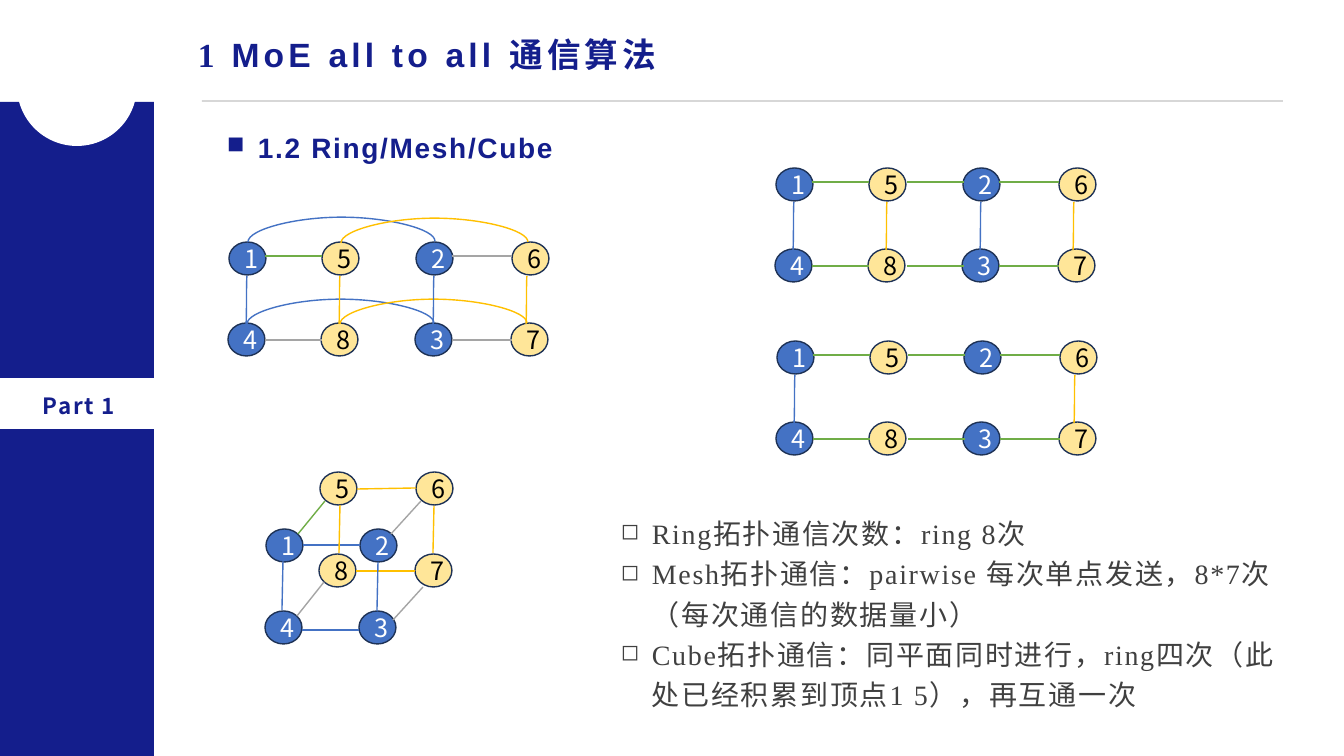
from dataclasses import dataclass

from lxml.etree import SubElement
from pptx import Presentation
from pptx.dml.color import RGBColor
from pptx.enum.shapes import MSO_CONNECTOR, MSO_SHAPE
from pptx.enum.text import MSO_ANCHOR, MSO_AUTO_SIZE, PP_ALIGN
from pptx.oxml.ns import qn
from pptx.util import Pt

PX = 914400 / 100.8


@dataclass(frozen=True)
class Theme:
    navy: str = "141E8C"
    white: str = "FFFFFF"
    black: str = "000000"
    rule: str = "0D0D0D"
    body: str = "404040"
    outline: str = "1E3256"
    blue: str = "4472C4"
    cream: str = "FFE699"
    gold: str = "FFC000"
    green: str = "70AD47"
    gray: str = "A5A5A5"
    sans: str = "Arial"
    serif: str = "Times New Roman"
    cjk: str = "Noto Sans CJK SC"
    title_size: int = 24
    text_size: int = 20
    node_size: int = 18
    part_size: int = 16


theme = Theme()
deck = Presentation()
deck.slide_width = round(1344 * PX)
deck.slide_height = round(756 * PX)
slide = deck.slides.add_slide(deck.slide_layouts[6])


def write(paragraph, text, font, size, color, bold=False, tracking=0,
          align=None, leading=None, bullet=None, level=0):
    if bullet:
        mark, percent, margin = bullet
        properties = paragraph._p.get_or_add_pPr()
        properties.set("marL", str(round(margin * PX)))
        properties.set("indent", str(round(-31 * PX)))
        SubElement(properties, qn("a:buSzPct")).set("val", str(percent * 1000))
        SubElement(properties, qn("a:buChar")).set("char", mark)
    paragraph.level = level
    if align is not None:
        paragraph.alignment = align
    if leading:
        paragraph.line_spacing = leading
    run = paragraph.add_run()
    run.text = text
    run.font.size = Pt(size)
    run.font.bold = bold
    run.font.color.rgb = RGBColor.from_string(color)
    run.font.name = font
    run_properties = run.font._element
    run_properties.set("spc", str(round(tracking * 100)))
    SubElement(run_properties, qn("a:ea")).set("typeface", theme.cjk)


def connect(x1, y1, x2, y2, color, kind=MSO_CONNECTOR.STRAIGHT, width=1):
    ends = [round(value * PX) for value in (x1, y1, x2, y2)]
    link = slide.shapes.add_connector(kind, *ends)
    link.line.color.rgb = RGBColor.from_string(color)
    link.line.width = Pt(width)
    SubElement(link._element.spPr, qn("a:effectLst"))
    return link


for preset, color, *box in [
    (MSO_SHAPE.RECTANGLE, theme.navy, 0, 102, 154, 654),
    (MSO_SHAPE.OVAL, theme.white, 17, 26, 120, 120),
    (MSO_SHAPE.RECTANGLE, theme.white, 0, 378, 154, 51),
]:
    panel = slide.shapes.add_shape(preset, *[round(value * PX) for value in box])
    panel.shadow.inherit = False
    panel.fill.solid()
    panel.fill.fore_color.rgb = RGBColor.from_string(color)
    panel.line.fill.background()

title_rule = connect(202, 101, 1283, 101, theme.rule, width=0.5)
rule_color = title_rule.line._ln.find(".//" + qn("a:srgbClr"))
SubElement(rule_color, qn("a:alpha")).set("val", "46000")

frames = []
for box in [(19, 385, 120, 38), (188, 29, 1182, 50), (217, 126, 386, 44), (510, 505, 793, 251)]:
    frame = slide.shapes.add_textbox(*[round(value * PX) for value in box]).text_frame
    frame.word_wrap = True
    frame.auto_size = MSO_AUTO_SIZE.SHAPE_TO_FIT_TEXT
    frames.append(frame)
part, title, heading, findings = frames

write(part.paragraphs[0], "Part 1", theme.cjk, theme.part_size, theme.navy,
      bold=True, tracking=1.1, align=PP_ALIGN.CENTER, leading=1.1)
for words, font in [("1 ", theme.serif), ("MoE all to all 通信算法", theme.sans)]:
    write(title.paragraphs[0], words, font, theme.title_size, theme.navy, bold=True, tracking=3)
write(heading.paragraphs[0], "1.2 Ring/Mesh/Cube", theme.sans, theme.text_size, theme.navy,
      bold=True, tracking=1.2, bullet=("■", 85, 31))
for index, finding in enumerate([
    "Ring拓扑通信次数：ring 8次",
    "Mesh拓扑通信：pairwise 每次单点发送，8*7次（每次通信的数据量小）",
    "Cube拓扑通信：同平面同时进行，ring四次（此处已经积累到顶点1 5），再互通一次",
]):
    paragraph = findings.add_paragraph() if index else findings.paragraphs[0]
    write(paragraph, finding, theme.serif, theme.text_size, theme.body,
          tracking=1.2, leading=1.2, bullet=("◻", 80, 132), level=2)

mesh, open_grid, ring = (229, 242), (776, 168), (777, 341)
nodes = [
    (number, left + column - row, top + 81 * row)
    for left, top in (mesh, open_grid, ring)
    for row, numbers in enumerate([(1, 5, 2, 6), (4, 8, 3, 7)])
    for number, column in zip(numbers, (0, 93, 187, 283))
]
nodes += [
    (number, left + gap * column - row, top + 82 * row)
    for left, top, gap, face in [(266, 529, 94, [(1, 2), (4, 3)]), (320, 472, 96, [(5, 6), (8, 7)])]
    for row, numbers in enumerate(face)
    for column, number in enumerate(numbers)
]
for number, left, top in nodes:
    first_group = number <= 4
    node = slide.shapes.add_shape(MSO_SHAPE.OVAL, *[round(value * PX) for value in (left, top, 37, 33)])
    node.shadow.inherit = False
    node.fill.solid()
    node.fill.fore_color.rgb = RGBColor.from_string(theme.blue if first_group else theme.cream)
    node.line.color.rgb = RGBColor.from_string(theme.outline)
    node.line.width = Pt(1)
    node.text_frame.vertical_anchor = MSO_ANCHOR.MIDDLE
    write(node.text_frame.paragraphs[0], str(number), theme.cjk, theme.node_size,
          theme.white if first_group else theme.black, align=PP_ALIGN.CENTER)

for x1, y1, x2, y2, color in [
    (421, 501, 391, 534, theme.gray),
    (325, 501, 298, 534, theme.green),
    (423, 587, 393, 620, theme.gray),
    (324, 582, 297, 616, theme.gray),
    (303, 545, 360, 545, theme.blue),
    (357, 489, 416, 488, theme.gold),
    (302, 630, 359, 630, theme.blue),
    (356, 571, 415, 571, theme.gold),
    (434, 506, 433, 553, theme.gold),
    (378, 562, 377, 611, theme.blue),
    (340, 505, 339, 553, theme.gold),
    (283, 561, 282, 610, theme.blue),
]:
    connect(x1, y1, x2, y2, color)

for center, base, color in [
    (341, 242, theme.blue), (340, 324, theme.blue),
    (434, 243, theme.gold), (433, 324, theme.gold),
]:
    arc = connect(center, base - 94, center + 1, base + 93, color, MSO_CONNECTOR.CURVE)
    transform = arc._element.spPr.find(qn("a:xfrm"))
    for key, value in [("rot", "5400000"), ("flipH", "1"), ("flipV", "1")]:
        transform.set(key, value)
    bend = SubElement(arc._element.spPr.find(".//" + qn("a:avLst")), qn("a:gd"))
    bend.set("name", "adj1")
    bend.set("fmla", "val 2500000")

spans = [(36, 93), (131, 188), (223, 283)]
all_columns = [(18, theme.blue), (111, theme.gold), (205, theme.blue), (298, theme.gold)]
for (left, top), columns, gaps, color in [
    (mesh, all_columns, spans[::2], theme.gray),
    (open_grid, all_columns, spans, theme.green),
    (ring, all_columns[::3], spans, theme.green),
]:
    for x, column_color in columns:
        connect(left + x, top + 34, left + x - 1, top + 82, column_color, MSO_CONNECTOR.CURVE)
    for y in (14, 98):
        for start, end in gaps:
            first_mesh_link = (left, top) == mesh and y == 14 and start == 36
            connect(left + start, top + y, left + end, top + y,
                    theme.green if first_mesh_link else color)

deck.save("out.pptx")
